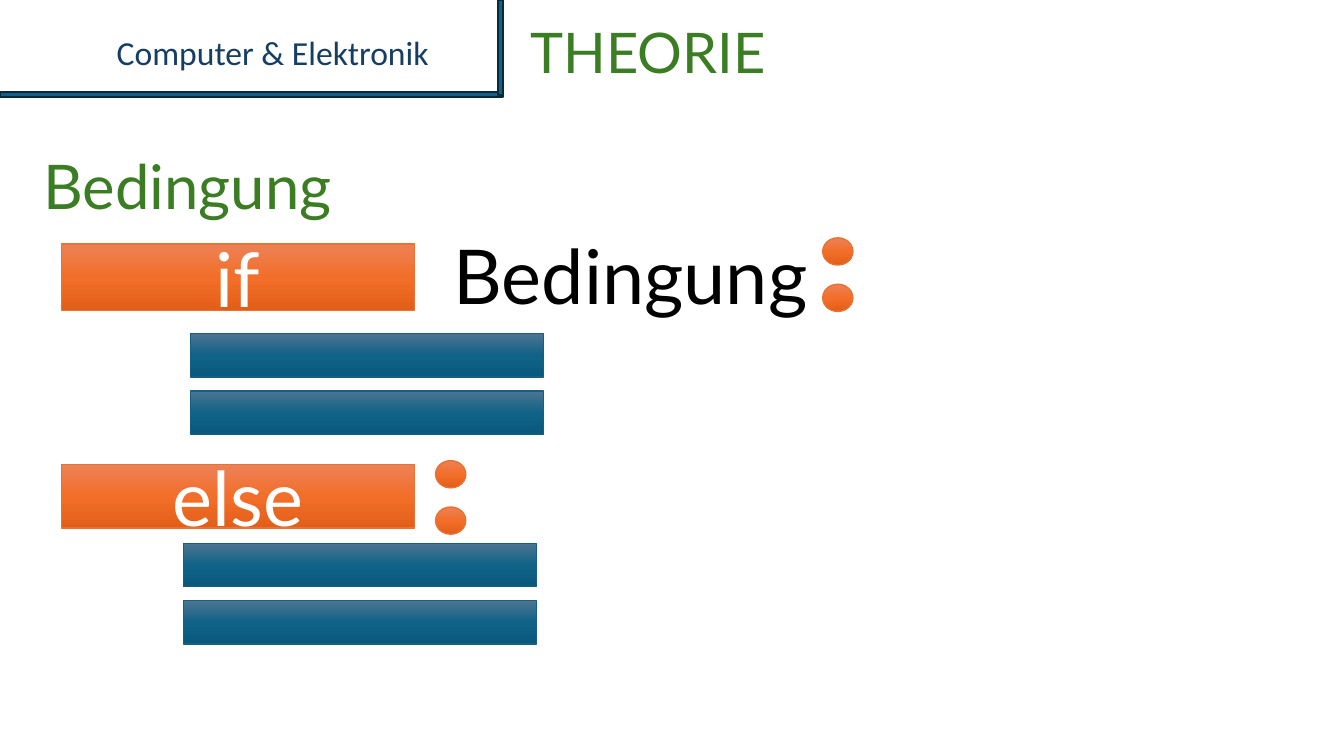
from copy import deepcopy
from dataclasses import dataclass

from pptx import Presentation
from pptx.dml.color import RGBColor
from pptx.enum.shapes import MSO_SHAPE as Geo
from pptx.enum.text import MSO_ANCHOR as Anchor, MSO_AUTO_SIZE as Fit, PP_ALIGN as Align
from pptx.oxml.ns import qn
from pptx.shapes.autoshape import Shape
from pptx.util import Emu, Pt

PX = 9144  # 100 px to the inch

COLORS = {
    "navy": "163E64",
    "teal": "156082",
    "edge": "092A39",
    "green": "3B7D23",
    "black": "000000",
    "white": "FFFFFF",
    "orange": "E97132",
}
BLENDS = {
    "orange": ("ED8257", "F26E29", "E25F1A"),
    "teal": ("4C7591", "106287", "09597D"),
}


@dataclass
class Box:
    x: int
    y: int
    w: int
    h: int


@dataclass
class Label:
    text: str
    box: Box
    size: int
    color: str
    font: str = "Lato"


@dataclass
class Branch:
    """A keyword with its colon and its two indented lines of code."""
    word: str
    box: Box
    colon: tuple[int, int]
    body: tuple[int, int]


HEAD = Label("THEORIE", Box(516, 12, 777, 77), 40, "green")
LABELS = [
    Label("Computer & Elektronik", Box(106, 27, 424, 50), 24, "navy", "Calibri"),
    Label("Bedingung", Box(33, 142, 1218, 84), 44, "green"),
    Label("Bedingung", Box(440, 222, 406, 101), 54, "black"),
]
RULES = [Box(0, 91, 499, 5), Box(494, 0, 5, 94)]
BRANCHES = [
    Branch("if", Box(61, 242, 350, 66), (816, 236), (189, 331)),
    Branch("else", Box(61, 461, 350, 63), (432, 457), (182, 539)),
]
DOT_STEP, LINE_STEP = 46, 57

deck = Presentation()
deck.slide_width, deck.slide_height = Emu(1333 * PX), Emu(750 * PX)
slide = deck.slides.add_slide(deck.slide_layouts[5])


def rgb(name: str) -> RGBColor:
    return RGBColor.from_string(COLORS[name])


def span(box: Box) -> list[Emu]:
    return [Emu(n * PX) for n in (box.x, box.y, box.w, box.h)]


def write(shape: Shape, label: Label, align: Align, anchor: Anchor) -> None:
    frame = shape.text_frame
    frame.word_wrap = True
    frame.vertical_anchor = anchor
    para = frame.paragraphs[0]
    para.alignment = align
    run = para.add_run()
    run.text = label.text
    run.font.name = label.font
    run.font.size = Pt(label.size)
    run.font.color.rgb = rgb(label.color)


def place(shape: Shape, label: Label) -> None:
    shape.left, shape.top, shape.width, shape.height = span(label.box)
    write(shape, label, Align.LEFT, Anchor.TOP)
    shape.text_frame.auto_size = Fit.SHAPE_TO_FIT_TEXT


def draw(geo: Geo, box: Box, edge: str, width: float) -> Shape:
    shape = slide.shapes.add_shape(geo, *span(box))
    shape.shadow.inherit = False
    shape.line.color.rgb = rgb(edge)
    shape.line.width = Pt(width)
    return shape


def blend(geo: Geo, box: Box, color: str) -> Shape:
    """Draw a shape shaded from top to bottom in three stops."""
    shape = draw(geo, box, color, 1)
    fill = shape.fill
    fill.gradient()
    fill.gradient_angle = 270
    stops = shape._element.spPr.find(".//" + qn("a:gsLst"))
    stops.append(deepcopy(stops[-1]))
    for i, (stop, tint) in enumerate(zip(fill.gradient_stops, BLENDS[color])):
        stop.position = i / 2
        stop.color.rgb = RGBColor.from_string(tint)
    return shape


def build(branch: Branch) -> None:
    key = blend(Geo.RECTANGLE, branch.box, "orange")
    label = Label(branch.word, branch.box, 54, "white")
    write(key, label, Align.CENTER, Anchor.MIDDLE)
    for i in range(2):
        x, y = branch.colon
        blend(Geo.OVAL, Box(x, y + i * DOT_STEP, 30, 27), "orange")
        x, y = branch.body
        blend(Geo.RECTANGLE, Box(x, y + i * LINE_STEP, 350, 43), "teal")


for rule in RULES:
    bar = draw(Geo.RECTANGLE, rule, "edge", 1.5)
    bar.fill.solid()
    bar.fill.fore_color.rgb = rgb("teal")

place(slide.shapes.title, HEAD)
for label in LABELS:
    place(slide.shapes.add_textbox(*span(label.box)), label)
for branch in BRANCHES:
    build(branch)

deck.save("out.pptx")
